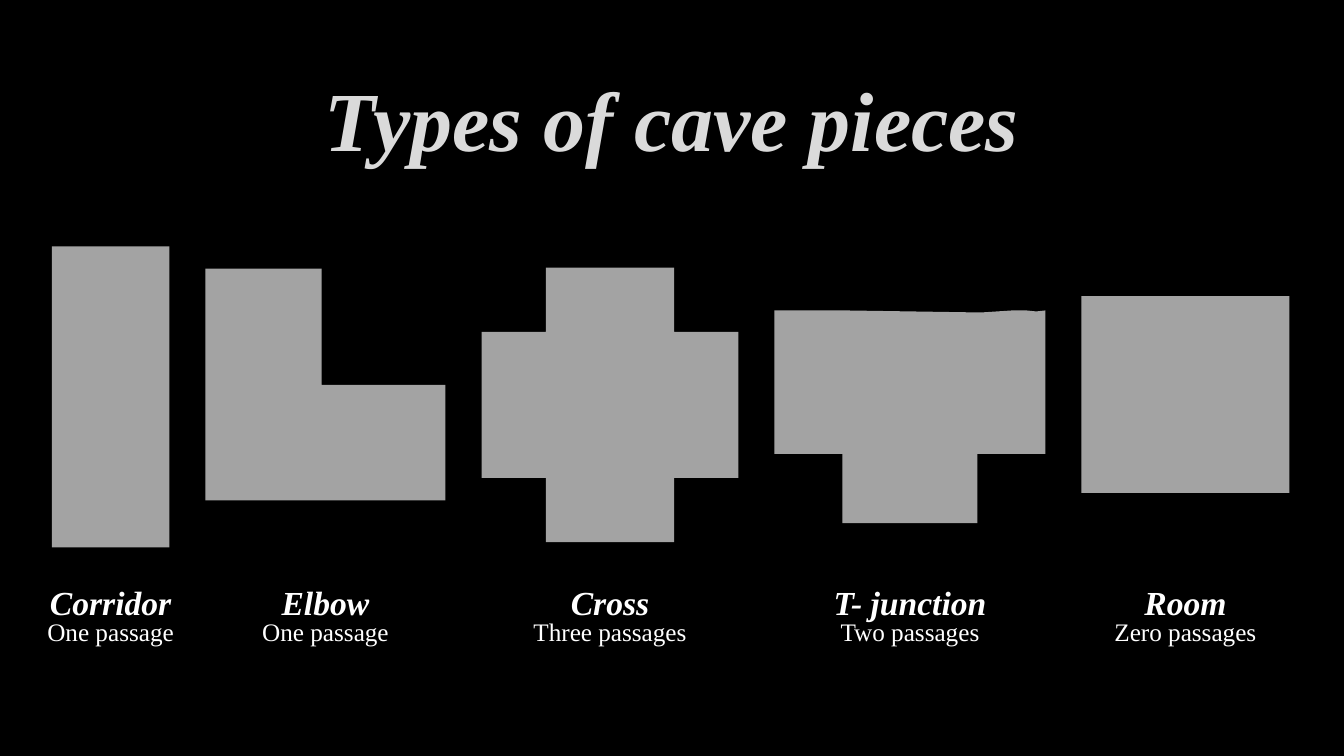
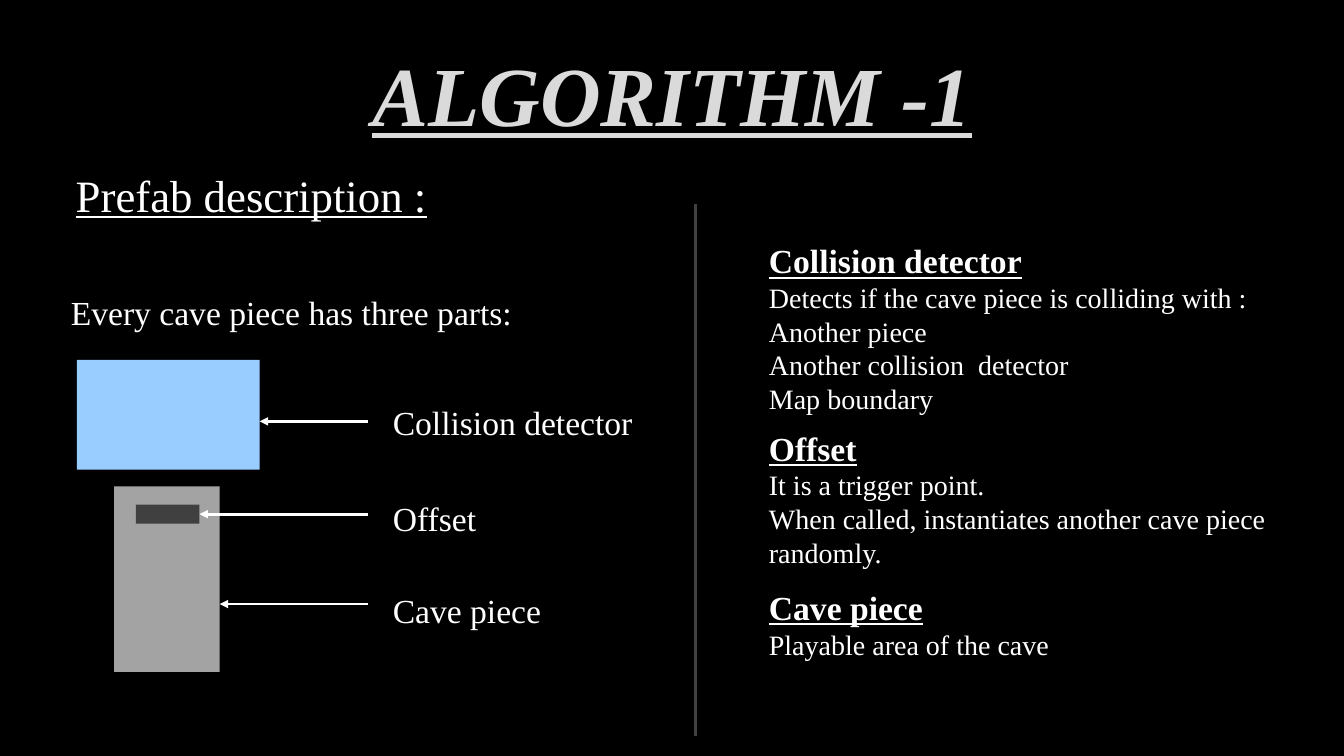
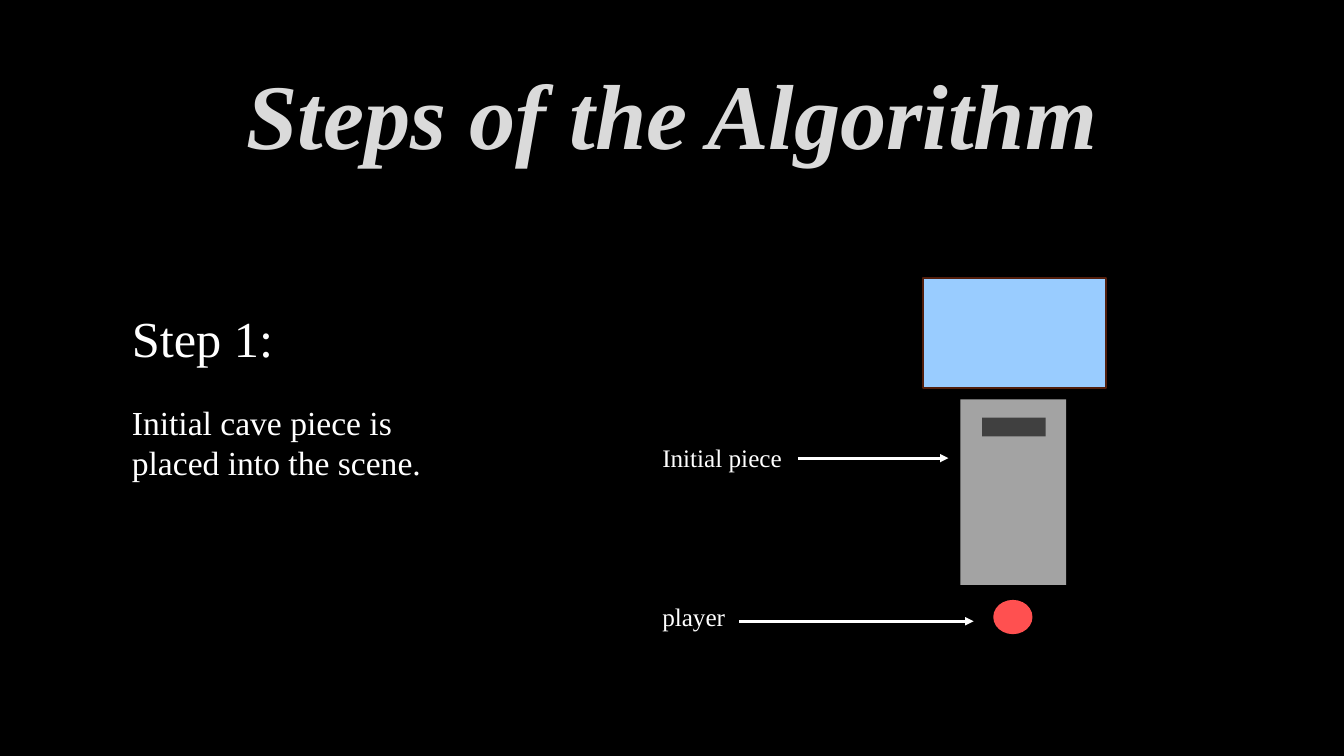
from dataclasses import dataclass

from lxml.etree import SubElement
from pptx import Presentation
from pptx.dml.color import RGBColor
from pptx.enum.shapes import MSO_CONNECTOR, MSO_SHAPE
from pptx.enum.text import MSO_ANCHOR, MSO_AUTO_SIZE, PP_ALIGN
from pptx.oxml.ns import qn
from pptx.util import Pt


@dataclass(frozen=True)
class Theme:
    font: str = "Times New Roman"
    background: str = "000000"
    title: str = "DADADA"
    text: str = "FFFFFF"
    cave: str = "A3A3A3"
    detector: str = "99CCFF"
    detector_edge: str = "521E0C"
    offset: str = "404040"
    player: str = "FF5050"
    title_size: int = 60
    large_title_size: int = 66
    step_size: int = 36
    section_size: int = 32
    heading_size: int = 24
    detail_size: int = 20
    label_size: int = 18
    line_width: int = 2
    edge_width: float = 1.25


THEME = Theme()
TITLE_FORMAT = {"bold": True, "italic": True}
HEADING_FORMAT = {"bold": True, "underline": True}
TITLE_ONLY, TITLE_AND_BODY = 5, 1

ELBOW = [(0, 0), (83, 0), (83, 83), (171.5, 83), (171.5, 165.5), (0, 165.5)]
T_JUNCTION = [
    (0, 0), (50, 0), (147.5, 1.5), (170, 0), (180, 0), (187, 0.75), (193.5, 0),
    (193.5, 102.5), (145, 102.5), (145, 152), (48.5, 152), (48.5, 102.5), (0, 102.5),
]
CAVE_PIECES = [
    ("Corridor", "One passage", MSO_SHAPE.RECTANGLE, 176, 84, 215),
    ("Elbow", "One passage", ELBOW, 192, 171.5, 165.5),
    ("Cross", "Three passages", MSO_SHAPE.CROSS, 191.25, 183.5, 196),
    ("T- junction", "Two passages", T_JUNCTION, 221.75, 193.5, 152),
    ("Room", "Zero passages", MSO_SHAPE.RECTANGLE, 211.5, 148.5, 140.5),
]
PART_SECTIONS = [
    ("Collision detector", 0, [
        "Detects if the cave piece is colliding with :",
        "Another piece",
        "Another collision  detector",
        "Map boundary",
    ]),
    ("Offset", 9, [
        "It is a trigger point.",
        "When called, instantiates another cave piece randomly.",
    ]),
    ("Cave piece", 13, ["Playable area of the cave"]),
]


def apply(target, values):
    for key, value in values.items():
        setattr(target, key, value)


def color(code):
    return RGBColor.from_string(code)


def place(part, box):
    apply(part, dict(zip(("left", "top", "width", "height"), map(Pt, box))))


def write(paragraph, text, size, tint=THEME.text, **font_format):
    run = paragraph.add_run()
    run.text = text
    apply(run.font, {"name": THEME.font, "size": Pt(size), **font_format})
    run.font.color.rgb = color(tint)


def fit_frame(frame):
    apply(frame, {
        "word_wrap": True,
        "auto_size": MSO_AUTO_SIZE.SHAPE_TO_FIT_TEXT,
        "vertical_anchor": MSO_ANCHOR.TOP,
    })
    return frame


def add_title(slide, text, box, size=THEME.title_size, **font_format):
    heading = slide.shapes.title
    place(heading, box)
    paragraph = fit_frame(heading.text_frame).paragraphs[0]
    paragraph.alignment = PP_ALIGN.CENTER
    write(paragraph, text, size, THEME.title, **TITLE_FORMAT, **font_format)


def add_label(slide, text, box, size, align=PP_ALIGN.LEFT, **font_format):
    label = slide.shapes.add_textbox(*map(Pt, box))
    paragraph = fit_frame(label.text_frame).paragraphs[0]
    paragraph.alignment = align
    write(paragraph, text, size, **font_format)


def add_body(slide, box, lines):
    body = slide.placeholders[1]
    place(body, box)
    frame = fit_frame(body.text_frame)
    for index, (text, size, space, font_format) in enumerate(lines):
        paragraph = frame.add_paragraph() if index else frame.paragraphs[0]
        apply(paragraph, {"space_before": Pt(space), "space_after": Pt(0)})
        properties = paragraph._p.get_or_add_pPr()
        for key in ("marL", "indent"):
            properties.set(key, "0")
        SubElement(properties, qn("a:buNone"))
        write(paragraph, text, size, **font_format)


def paint(part, fill, edge=None):
    part.shadow.inherit = False
    part.fill.solid()
    part.fill.fore_color.rgb = color(fill)
    if edge:
        part.line.color.rgb = color(edge)
        part.line.width = Pt(THEME.edge_width)
    else:
        part.line.fill.background()
    return part


def add_preset(slide, preset, box, fill, edge=None):
    return paint(slide.shapes.add_shape(preset, *map(Pt, box)), fill, edge)


def add_outline(slide, points, left, top, fill):
    corners = [(Pt(left + x), Pt(top + y)) for x, y in points]
    builder = slide.shapes.build_freeform(*corners[0])
    builder.add_line_segments(corners[1:], close=True)
    return paint(builder.convert_to_shape(), fill)


def add_line(slide, start, end, tint=THEME.text, arrow=True):
    line = slide.shapes.add_connector(MSO_CONNECTOR.STRAIGHT, *map(Pt, (*start, *end)))
    line.line.color.rgb = color(tint)
    line.line.width = Pt(THEME.line_width)
    if arrow:
        SubElement(line.line._get_or_add_ln(), qn("a:tailEnd"), type="triangle")
    SubElement(line._element.spPr, qn("a:effectLst"))
    return line


def add_prefab(slide, left, top, gap, edge=None):
    detector_height = 78.5
    cave_left, cave_top = left + 26.5, top + detector_height + gap
    add_preset(slide, MSO_SHAPE.RECTANGLE, (cave_left, cave_top, 75.5, 132.5), THEME.cave)
    add_preset(slide, MSO_SHAPE.RECTANGLE, (left, top, 130.5, detector_height),
               THEME.detector, edge)
    return add_preset(slide, MSO_SHAPE.RECTANGLE,
                      (cave_left + 15.5, cave_top + 13, 45.5, 13.5), THEME.offset)


def add_cave_pieces(slide, left, gap, label_top):
    label_width = 134
    for name, passages, outline, top, width, height in CAVE_PIECES:
        if isinstance(outline, list):
            add_outline(slide, outline, left, top, THEME.cave)
        else:
            add_preset(slide, outline, (left, top, width, height), THEME.cave)
        label_left = left + (width - label_width) / 2
        add_label(slide, name, (label_left, label_top, label_width, 36),
                  THEME.heading_size, PP_ALIGN.CENTER, **TITLE_FORMAT)
        add_label(slide, passages, (label_left, label_top + 24.5, label_width, 29),
                  THEME.label_size, PP_ALIGN.CENTER)
        left += width + gap


def add_prefab_diagram(slide, left, top):
    offset = add_prefab(slide, left, top, 12)
    arrow_start, label_left = left + 208, left + 218.5
    offset_middle = top + 110.25
    add_line(slide, (arrow_start, top + 44), (left + 130.5, top + 44))
    pointer = add_line(slide, (arrow_start, offset_middle), (left + 87.5, offset_middle))
    pointer.end_connect(offset, 3)
    add_line(slide, (arrow_start, top + 174.5), (left + 102, top + 174.5))
    for name, label_top in (("Collision detector", 26.5), ("Offset", 95), ("Cave piece", 160.5)):
        add_label(slide, name, (label_left, top + label_top, 204.5, 36), THEME.heading_size)


def add_start_scene(slide, left, top):
    add_prefab(slide, left + 193.5, top, 8, THEME.detector_edge)
    add_preset(slide, MSO_SHAPE.OVAL, (left + 243.5, top + 229.75, 28, 24.5), THEME.player)
    add_label(slide, "Initial piece", (left, top + 113.75, 111.5, 29), THEME.label_size)
    add_line(slide, (left + 104, top + 128.5), (left + 211.5, top + 128.5))
    add_label(slide, "player", (left, top + 227.5, 71.5, 29), THEME.label_size)
    add_line(slide, (left + 62, top + 245), (left + 229.5, top + 245))


def add_types_slide(slide):
    add_title(slide, "Types of cave pieces", (188.5, 44.5, 583, 80))
    add_cave_pieces(slide, left=37, gap=25.75, label_top=412)


def add_prefab_slide(slide):
    add_title(slide, "ALGORITHM -1", (211, 26.5, 538, 80), underline=True)
    add_label(slide, "Prefab description :", (47, 116, 352, 46),
              THEME.section_size, underline=True)
    add_label(slide, "Every cave piece has three parts:", (43.5, 205, 438.5, 36),
              THEME.heading_size)
    add_prefab_diagram(slide, 55, 257)
    add_line(slide, (497, 145.5), (497, 525.5), THEME.offset, arrow=False)
    lines = []
    for heading, space, details in PART_SECTIONS:
        lines.append((heading, THEME.heading_size, space, HEADING_FORMAT))
        lines += [(detail, THEME.detail_size, 0, {}) for detail in details]
    add_body(slide, (542, 168, 404.5, 324), lines)


def add_steps_slide(slide):
    add_title(slide, "Steps of the Algorithm", (155, 37.5, 650, 87), THEME.large_title_size)
    add_body(slide, (87, 216, 256.5, 133), [
        ("Step 1:", THEME.step_size, 0, {}),
        ("Initial cave piece is placed into the scene.", THEME.heading_size, 24, {}),
    ])
    add_start_scene(slide, 466, 198.75)


def main():
    deck = Presentation()
    apply(deck, {"slide_width": Pt(960), "slide_height": Pt(540)})
    backdrop = deck.slide_master.background.fill
    backdrop.solid()
    backdrop.fore_color.rgb = color(THEME.background)
    for layout, fill_slide in (
        (TITLE_ONLY, add_types_slide),
        (TITLE_AND_BODY, add_prefab_slide),
        (TITLE_AND_BODY, add_steps_slide),
    ):
        fill_slide(deck.slides.add_slide(deck.slide_layouts[layout]))
    deck.save("out.pptx")


if __name__ == "__main__":
    main()
